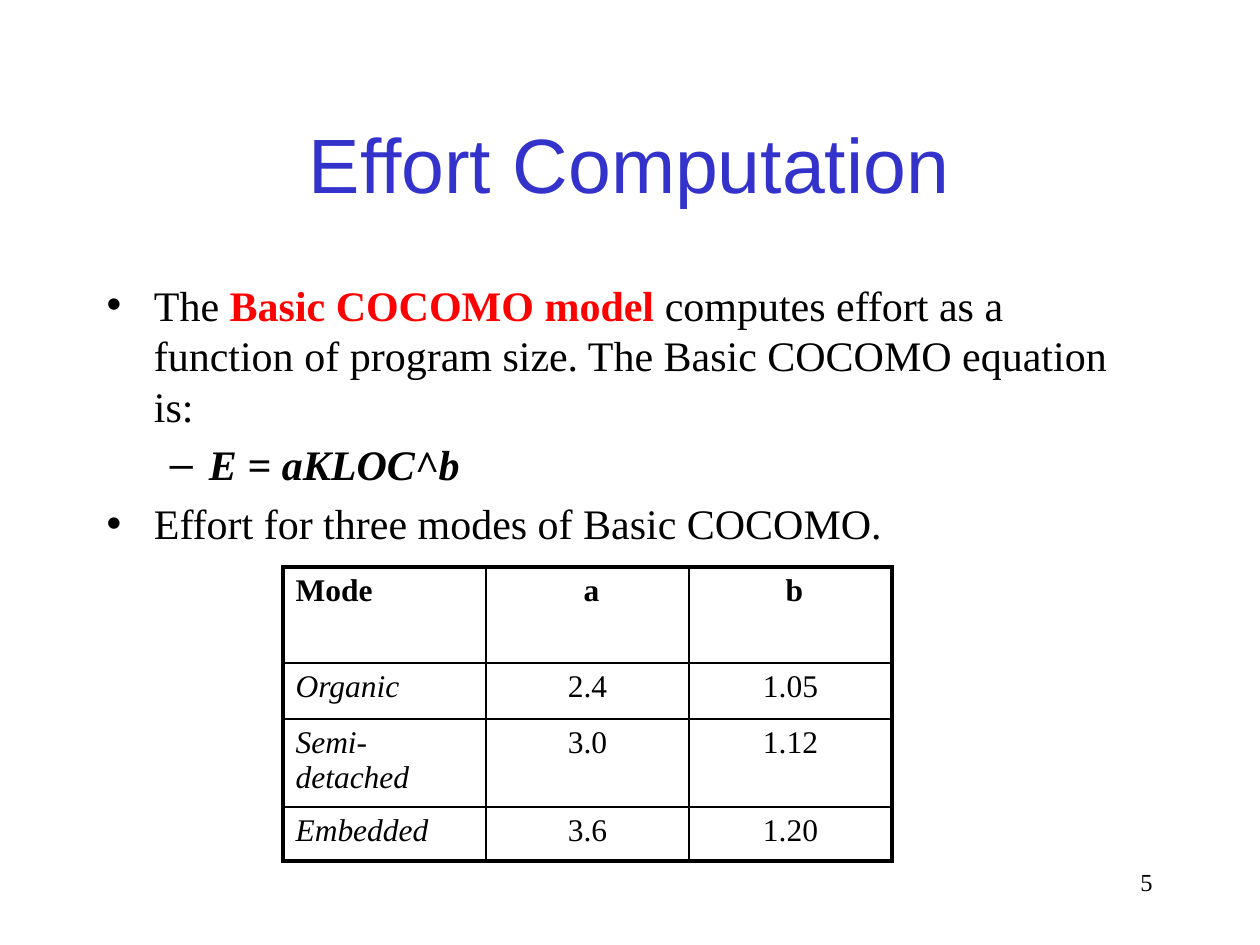
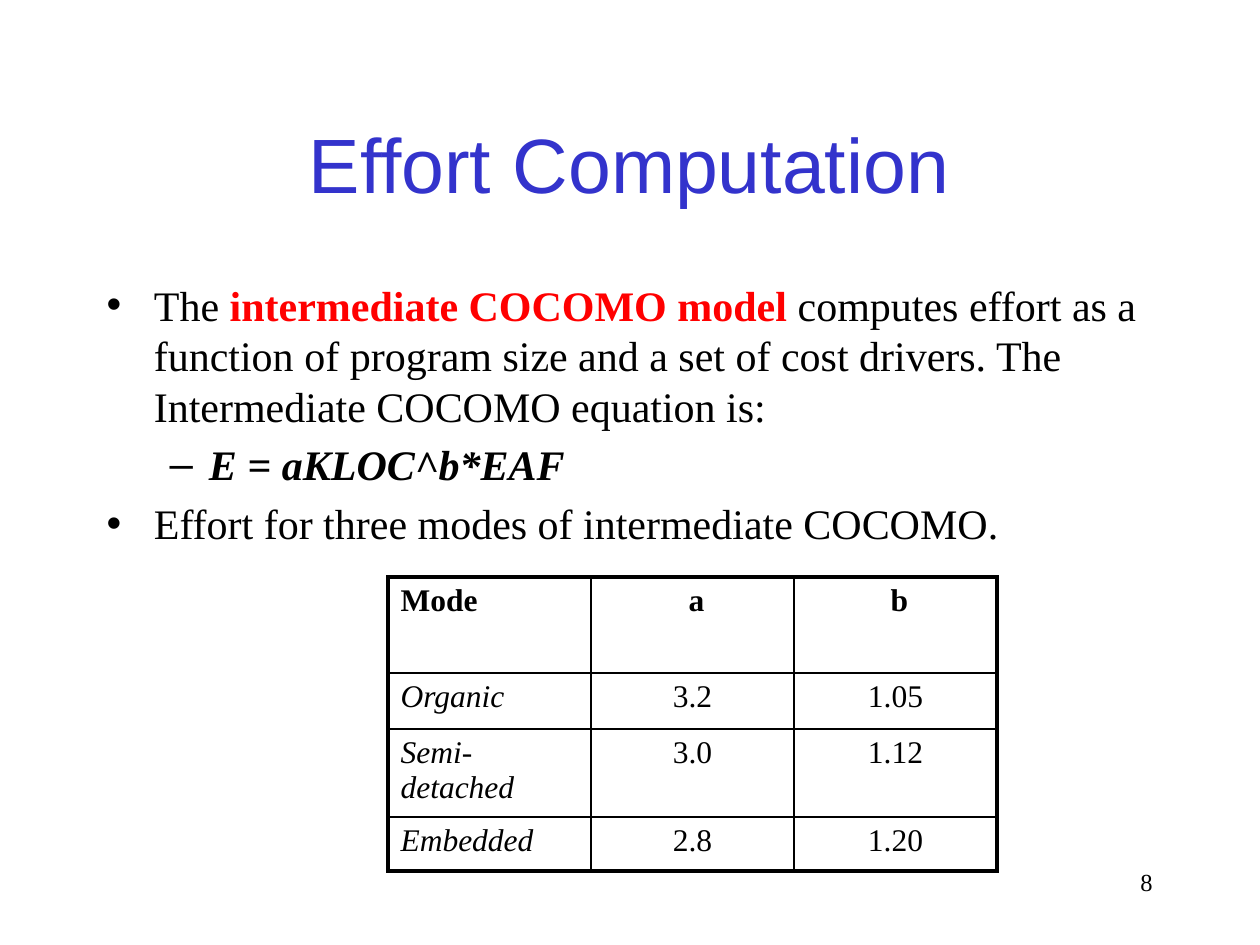
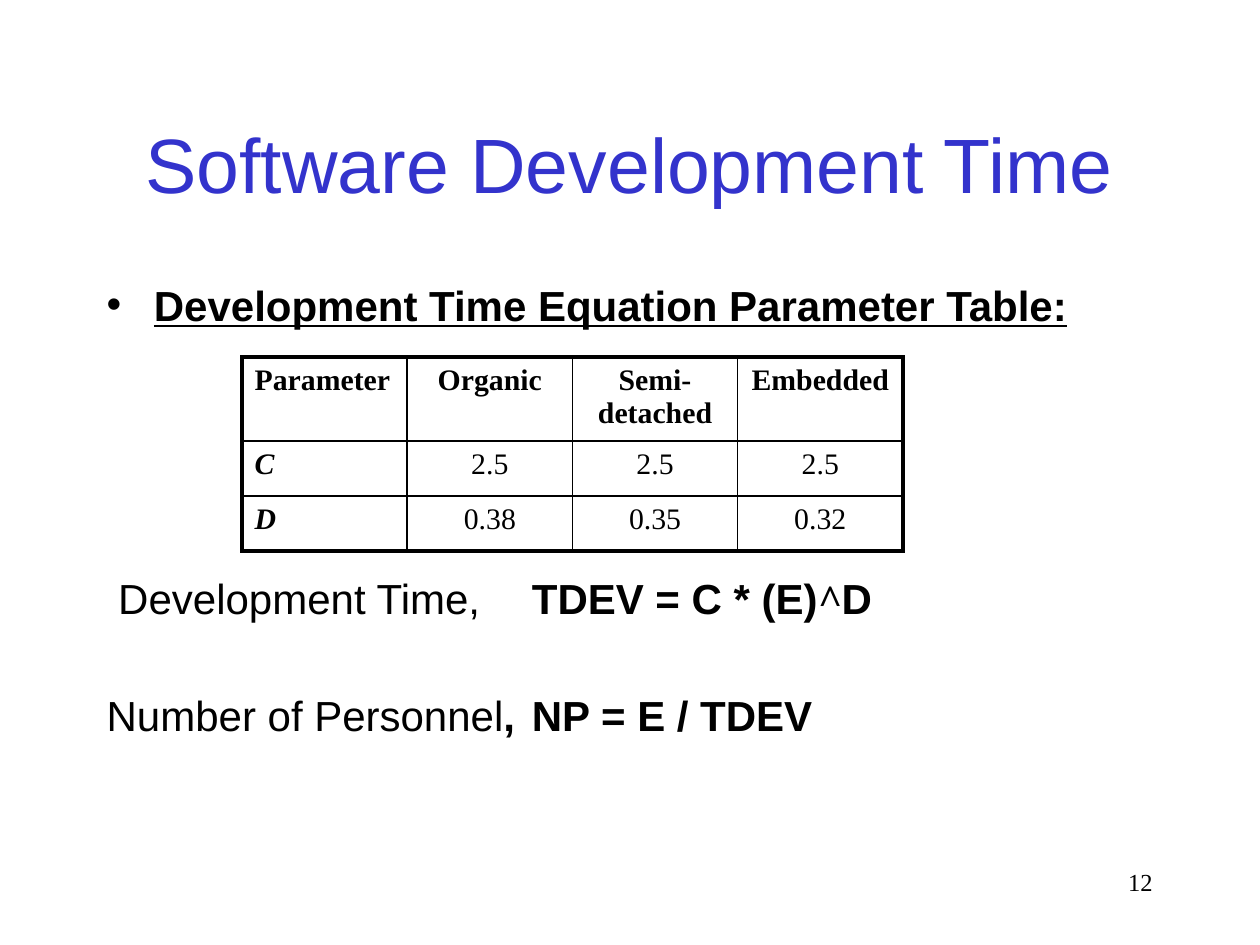
import dataclasses
import typing

import lxml.etree
import pptx
import pptx.dml.color
import pptx.enum.text
import pptx.oxml.ns
import pptx.slide
import pptx.table
import pptx.text.text
import pptx.util

PX_PER_INCH = 126
SLIDE_SIZE = (1260, 945)
TITLE_BOX = (94, 84, 1071, 158)
BODY_BOX = (94, 273, 1071, 567)
NUMBER_BOX = (903, 861, 262, 63)

BLACK = pptx.dml.color.RGBColor(0x00, 0x00, 0x00)
RED = pptx.dml.color.RGBColor(0xFF, 0x00, 0x00)
BLUE = pptx.dml.color.RGBColor(0x33, 0x33, 0xCC)
SERIF = "Times New Roman"
SANS = "Arial"

OUTER_RULE = 2.25
INNER_RULE = 1
CENTER = pptx.enum.text.PP_ALIGN.CENTER
LEFT = pptx.enum.text.PP_ALIGN.LEFT
RIGHT = pptx.enum.text.PP_ALIGN.RIGHT

Look = dict[str, typing.Any]
Box = tuple[int, int, int, int]

TITLE_LOOK: Look = {"name": SANS, "size": pptx.util.Pt(44), "color": BLUE}
NUMBER_LOOK: Look = {"name": SERIF, "size": pptx.util.Pt(14), "color": BLACK}
SERIF_LOOK: Look = {"name": SERIF, "size": pptx.util.Pt(24), "color": BLACK}
SANS_LOOK: Look = {**SERIF_LOOK, "name": SANS}
BOLD: Look = {"bold": True}
ITALIC: Look = {"italic": True}
BOLD_ITALIC: Look = {**BOLD, **ITALIC}
SANS_BOLD: Look = {**SANS_LOOK, **BOLD}


class Phrase(typing.NamedTuple):
    text: str
    look: Look


@dataclasses.dataclass(frozen=True)
class Point:
    phrases: list[Phrase]
    level: int = 0
    bulleted: bool = True
    gap_before: int | None = None


@dataclasses.dataclass(frozen=True)
class Grid:
    left: int
    top: int
    width: int
    row_heights: list[int]
    rows: list[list[str]]
    text_size: int
    label_look: Look


@dataclasses.dataclass(frozen=True)
class Page:
    number: int
    title: str
    points: list[Point]
    grid: Grid


def px(length: float) -> pptx.util.Emu:
    return pptx.util.Emu(round(length * pptx.util.Inches(1) / PX_PER_INCH))


def apply_look(font: pptx.text.text.Font, look: Look) -> None:
    for attribute, value in look.items():
        if attribute == "color":
            font.color.rgb = value
        else:
            setattr(font, attribute, value)


def place(placeholder: typing.Any, box: Box) -> None:
    for side, length in zip(("left", "top", "width", "height"), box):
        setattr(placeholder, side, px(length))


def add_phrase(paragraph: typing.Any, phrase: Phrase) -> None:
    run = paragraph.add_run()
    run.text = phrase.text
    apply_look(run.font, phrase.look)


def fill_title(slide: pptx.slide.Slide, title: str) -> None:
    heading = slide.shapes.title
    place(heading, TITLE_BOX)
    heading.text_frame.auto_size = pptx.enum.text.MSO_AUTO_SIZE.NONE
    heading.text_frame.vertical_anchor = pptx.enum.text.MSO_ANCHOR.MIDDLE
    paragraph = heading.text_frame.paragraphs[0]
    paragraph.alignment = CENTER
    add_phrase(paragraph, Phrase(title, TITLE_LOOK))


def fill_body(slide: pptx.slide.Slide, points: list[Point]) -> None:
    body = slide.placeholders[1]
    place(body, BODY_BOX)
    frame = body.text_frame
    frame.auto_size = pptx.enum.text.MSO_AUTO_SIZE.NONE
    for index, point in enumerate(points):
        paragraph = frame.add_paragraph() if index else frame.paragraphs[0]
        paragraph.level = point.level
        if point.gap_before is not None:
            paragraph.space_before = px(point.gap_before)
        if not point.bulleted:
            properties = paragraph._p.get_or_add_pPr()
            lxml.etree.SubElement(properties, pptx.oxml.ns.qn("a:buNone"))
        for phrase in point.phrases:
            add_phrase(paragraph, phrase)


def add_page_number(slide: pptx.slide.Slide, number: int) -> None:
    footer = slide.shapes.add_textbox(*map(px, NUMBER_BOX))
    footer.text_frame.word_wrap = True
    paragraph = footer.text_frame.paragraphs[0]
    paragraph.alignment = RIGHT
    add_phrase(paragraph, Phrase(str(number), NUMBER_LOOK))


def rule_cell(cell: pptx.table._Cell, outer_sides: dict[str, bool]) -> None:
    properties = cell._tc.get_or_add_tcPr()
    for side, is_outer in outer_sides.items():
        weight = pptx.util.Pt(OUTER_RULE if is_outer else INNER_RULE)
        line = lxml.etree.SubElement(
            properties, pptx.oxml.ns.qn(f"a:ln{side}"), w=str(int(weight))
        )
        paint = lxml.etree.SubElement(line, pptx.oxml.ns.qn("a:solidFill"))
        lxml.etree.SubElement(paint, pptx.oxml.ns.qn("a:srgbClr"), val=str(BLACK))


def add_grid(slide: pptx.slide.Slide, grid: Grid) -> None:
    last_row, last_column = len(grid.rows) - 1, len(grid.rows[0]) - 1
    table = slide.shapes.add_table(
        last_row + 1,
        last_column + 1,
        *map(px, (grid.left, grid.top, grid.width, sum(grid.row_heights))),
    ).table
    table.first_row = table.horz_banding = False
    for column in table.columns:
        column.width = px(grid.width / (last_column + 1))
    cell_look = {**SERIF_LOOK, "size": pptx.util.Pt(grid.text_size)}
    for r, (height, entries) in enumerate(zip(grid.row_heights, grid.rows)):
        table.rows[r].height = px(height)
        for c, entry in enumerate(entries):
            cell = table.cell(r, c)
            rule_cell(
                cell,
                {"L": c == 0, "R": c == last_column, "T": r == 0, "B": r == last_row},
            )
            cell.fill.background()
            emphasis = BOLD if r == 0 else grid.label_look if c == 0 else {}
            paragraph = cell.text_frame.paragraphs[0]
            paragraph.alignment = CENTER if c else LEFT
            add_phrase(paragraph, Phrase(entry, {**cell_look, **emphasis}))


def effort_page(
    number: int,
    model: str,
    explanation: str,
    equation: str,
    summary: str,
    corner: tuple[int, int],
    factors: list[str],
) -> Page:
    modes = ["Organic", "Semi-detached", "Embedded"]
    exponents = ["1.05", "1.12", "1.20"]
    points = [
        Point(
            [
                Phrase("The ", SERIF_LOOK),
                Phrase(model, {**SERIF_LOOK, **BOLD, "color": RED}),
                Phrase(explanation, SERIF_LOOK),
            ]
        ),
        Point([Phrase(equation, {**SERIF_LOOK, **BOLD_ITALIC})], level=1),
        Point([Phrase(summary, SERIF_LOOK)]),
    ]
    rows = [["Mode", " a", " b"], *map(list, zip(modes, factors, exponents))]
    grid = Grid(*corner, 609, [96, 56, 88, 54], rows, 18, ITALIC)
    return Page(number, "Effort Computation", points, grid)


PAGES = [
    effort_page(
        5,
        "Basic COCOMO model",
        " computes effort as a function of program size. The Basic COCOMO equation is:",
        "E = aKLOC^b",
        "Effort for three modes of Basic COCOMO.",
        (283, 567),
        ["2.4", "3.0", "3.6"],
    ),
    effort_page(
        8,
        "intermediate COCOMO model",
        " computes effort as a function of program size and a set of cost drivers."
        " The Intermediate COCOMO equation is:",
        "E = aKLOC^b*EAF",
        "Effort for three modes of intermediate COCOMO.",
        (388, 577),
        ["3.2", "3.0", "2.8"],
    ),
    Page(
        12,
        "Software Development Time",
        [
            Point(
                [
                    Phrase(
                        "Development Time Equation Parameter Table:",
                        {**SANS_BOLD, "underline": True},
                    )
                ]
            ),
            Point(
                [
                    Phrase(" Development Time,", SANS_LOOK),
                    Phrase(" \tTDEV = C * (E)", SANS_BOLD),
                    Phrase("^", {**SERIF_LOOK, **BOLD_ITALIC}),
                    Phrase("D", SANS_BOLD),
                ],
                bulleted=False,
                gap_before=243,
            ),
            Point(
                [
                    Phrase("Number of Personnel", SANS_LOOK),
                    Phrase(", \tNP = E / TDEV", SANS_BOLD),
                ],
                bulleted=False,
                gap_before=66,
            ),
        ],
        Grid(
            242,
            357,
            661,
            [84, 55, 55],
            [
                ["Parameter", "Organic", "Semi-detached", "Embedded"],
                ["C", "2.5", "2.5", "2.5"],
                ["D", "0.38", "0.35", "0.32"],
            ],
            17,
            BOLD_ITALIC,
        ),
    ),
]


def main() -> None:
    deck = pptx.Presentation()
    deck.slide_width, deck.slide_height = map(px, SLIDE_SIZE)
    for page in PAGES:
        slide = deck.slides.add_slide(deck.slide_layouts[1])
        add_page_number(slide, page.number)
        fill_title(slide, page.title)
        fill_body(slide, page.points)
        add_grid(slide, page.grid)
    deck.save("out.pptx")


if __name__ == "__main__":
    main()
